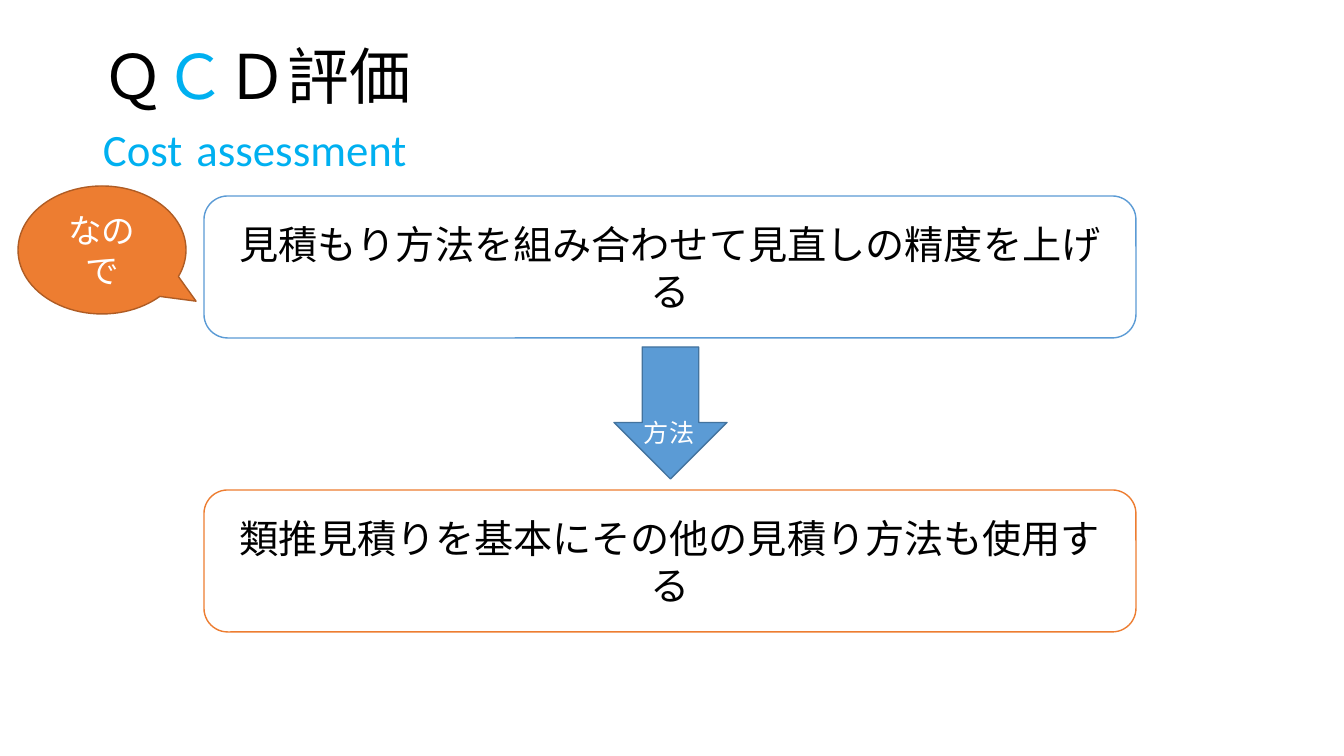
import pptx
import pptx.util
import pptx.dml.color
import pptx.enum.shapes
import pptx.enum.text

RGBColor = pptx.dml.color.RGBColor
SHAPE = pptx.enum.shapes.MSO_SHAPE
ALIGN = pptx.enum.text.PP_ALIGN
ANCHOR = pptx.enum.text.MSO_ANCHOR

BLACK = RGBColor(0x00, 0x00, 0x00)
WHITE = RGBColor(0xFF, 0xFF, 0xFF)
CYAN = RGBColor(0x00, 0xB0, 0xF0)
BLUE = RGBColor(0x5B, 0x9B, 0xD5)
DARK_BLUE = RGBColor(0x43, 0x73, 0x9E)
ORANGE = RGBColor(0xED, 0x7D, 0x31)
DARK_ORANGE = RGBColor(0xAF, 0x5C, 0x24)


class Deck:
    font = "Calibri"
    scale = 914400 / 100.8

    def __init__(self, width, height):
        self.prs = pptx.Presentation()
        self.prs.slide_width, self.prs.slide_height = self.emu(width, height)
        self.s = self.prs.slides.add_slide(self.prs.slide_layouts[6])

    def emu(self, *pixels):
        return [pptx.util.Emu(round(v * self.scale)) for v in pixels]

    def fill_text(self, sp, lines, frame, para):
        tf = sp.text_frame
        p = tf.paragraphs[0]
        for target, values in ((tf, frame), (p, para)):
            for name, value in values.items():
                setattr(target, name, value)
        for i, line in enumerate(lines):
            if i:
                p.add_line_break()
            for text, size, color in line:
                r = p.add_run()
                r.text = text
                r.font.name = self.font
                r.font.size = pptx.util.Pt(size)
                r.font.color.rgb = color

    def text(self, box, lines, frame, para):
        sp = self.s.shapes.add_textbox(*self.emu(*box))
        self.fill_text(sp, lines, frame, para)

    def shape(self, kind, box, fill, line, lines=(), adjustments=()):
        sp = self.s.shapes.add_shape(kind, *self.emu(*box))
        sp.shadow.inherit = False
        sp.fill.solid()
        sp.fill.fore_color.rgb = fill
        sp.line.color.rgb = line
        sp.line.width = pptx.util.Pt(1)
        for i, value in enumerate(adjustments):
            sp.adjustments[i] = value
        self.fill_text(sp, lines,
                       {"word_wrap": True, "vertical_anchor": ANCHOR.MIDDLE},
                       {"alignment": ALIGN.CENTER})


deck = Deck(1344, 756)

deck.text((93, 40, 1159, 146),
          [[("Ｑ", 44, BLACK), ("Ｃ", 44, CYAN), ("Ｄ評価", 44, BLACK)],
           [("Cost", 32, CYAN), (" ", 44, BLACK), ("assessment", 32, CYAN)]],
          {"word_wrap": True, "vertical_anchor": ANCHOR.MIDDLE},
          {"line_spacing": 0.9})

statements = [
    (196, BLUE, "見積もり方法を組み合わせて見直しの精度を上げる"),
    (490, ORANGE, "類推見積りを基本にその他の見積り方法も使用する"),
]
for top, color, statement in statements:
    deck.shape(SHAPE.ROUNDED_RECTANGLE, (204, top, 932, 142), WHITE, color,
               [[(statement, 28, BLACK)]])

deck.shape(SHAPE.OVAL_CALLOUT, (18, 186, 168, 128), ORANGE, DARK_ORANGE,
           [[("なので", 24, WHITE)]], (0.56, 0.4))

deck.shape(SHAPE.DOWN_ARROW, (614, 347, 113, 132), BLUE, DARK_BLUE)
deck.text((634, 412, 72, 40), [[("方法", 18, WHITE)]],
          {"word_wrap": False,
           "auto_size": pptx.enum.text.MSO_AUTO_SIZE.SHAPE_TO_FIT_TEXT}, {})

deck.prs.save("out.pptx")
